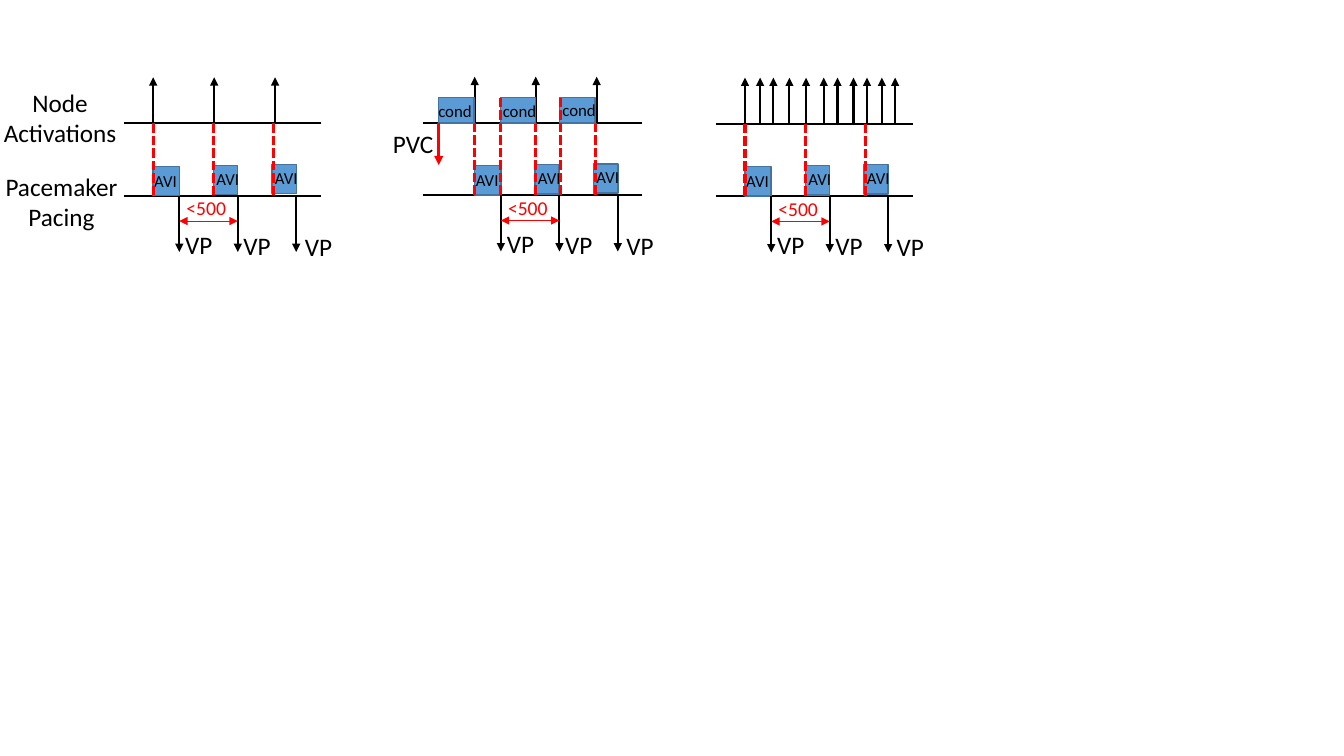
"""Draws three timing diagrams of node activations and pacemaker pacing."""
from lxml import etree
from pptx import Presentation
from pptx import util as u
from pptx.dml.color import RGBColor
from pptx.enum import dml, shapes, text
from pptx.oxml import ns

COLORS = {"ink": "000000", "alert": "FF0000", "block": "5B9BD5", "edge": "43739E"}


def color(name):
    return RGBColor.from_string(COLORS[name])


def write(frame, words, size=18, ink="ink", align=text.PP_ALIGN.LEFT):
    frame.word_wrap = False
    frame.auto_size = text.MSO_AUTO_SIZE.SHAPE_TO_FIT_TEXT
    for index, line in enumerate(words.split("\n")):
        para = frame.add_paragraph() if index else frame.paragraphs[0]
        para.alignment = align
        span = para.add_run()
        span.text = line
        span.font.name = "Calibri"
        span.font.size = u.Pt(size)
        span.font.color.rgb = color(ink)


class Sketch:
    def __init__(self, page):
        self.page = page
        self.layer = page.shapes

    def group(self):
        self.layer = self.page.shapes.add_group_shape().shapes

    def label(self, words, left, top, width, height, **style):
        box = self.layer.add_textbox(u.Pt(left), u.Pt(top), u.Pt(width), u.Pt(height))
        write(box.text_frame, words, **style)

    def block(self, left, top, width, height):
        box = self.layer.add_shape(shapes.MSO_SHAPE.RECTANGLE, u.Pt(left), u.Pt(top),
                                   u.Pt(width), u.Pt(height))
        box.shadow.inherit = False
        box.fill.solid()
        box.fill.fore_color.rgb = color("block")
        box.line.color.rgb = color("edge")
        box.line.width = u.Pt(1)

    def line(self, x1, y1, x2, y2, ink="ink", width=1.5, dashed=False, ends=()):
        connector = self.layer.add_connector(
            shapes.MSO_CONNECTOR.STRAIGHT, u.Pt(x1), u.Pt(y1), u.Pt(x2), u.Pt(y2))
        connector.line.color.rgb = color(ink)
        connector.line.width = u.Pt(width)
        if dashed:
            connector.line.dash_style = dml.MSO_LINE.SQUARE_DOT
        properties = connector.element.spPr
        outline = properties.find(ns.qn("a:ln"))
        for end in ends:
            etree.SubElement(outline, ns.qn(f"a:{end}"), type="triangle")
        etree.SubElement(properties, ns.qn("a:effectLst"))

    def arrow(self, x, start, stop, **style):
        self.line(x, start, x, stop, ends=["tailEnd"], **style)

    def dash(self, x, start, stop):
        self.line(x, start, x, stop, ink="alert", width=2.25, dashed=True)

    def timeline(self, x, shift, before, extra_beats=()):
        node, pacing = 88 + shift, 139.8 + shift
        self.group()
        for level in (node, pacing):
            self.line(x - before, level, x + 119.8, level)
        for beat in (0, 43.6, 87.1, *extra_beats):
            self.arrow(x + beat, node, node - 32.8)
        for index, (start, width) in enumerate([(0, 18.7), (43, 17.3), (85, 17.3)]):
            self.block(x + start, pacing - 21 - 0.7 * index, width, 21)
        for offset in (18.7, 60.5, 102.2):
            self.arrow(x + offset, pacing, pacing + 40.2)
        for left, top in [(-6.3, 118.4), (38.1, 116.7), (79.9, 116)]:
            self.label("AVI", x + left, top + shift, 31, 21.8, size=12)
        for offset in (0, 43.4, 86.1):
            self.dash(x + offset, node, pacing)
        for index, left in enumerate([15.8, 57.4, 101.2]):
            self.label("VP", x + left, 160.2 + shift + 0.6 * index, 34.6, 29.1)
        self.line(x + 18.7, 157.9 + shift, x + 60.5, 157.9 + shift, ink="alert",
                  width=0.5, ends=["headEnd", "tailEnd"])
        self.label("<500", x + 16.7, 136.7 + shift, 43.2, 24.2, size=14, ink="alert")

    def conduction(self, x):
        for left in (-25.7, 18.2, 60.7):
            self.block(x + left, 69.8, 25.2, 18)
        for left in (18.7, 61.2):
            self.dash(x + left, 69.8, 139.6)
        self.arrow(x - 25.7, 87.8, 118, ink="alert", width=2.25)
        for left, top in [(-33.1, 68.4), (13, 68.4), (55.5, 67.8)]:
            self.label("cond", x + left, top, 38.9, 21.8, size=12)


def main():
    deck = Presentation()
    deck.slide_width, deck.slide_height = u.Pt(960), u.Pt(540)
    sketch = Sketch(deck.slides.add_slide(deck.slide_layouts[6]))
    center = text.PP_ALIGN.CENTER
    sketch.label("Node\nActivations", -5, 59, 95.8, 50.9, align=center)
    sketch.label("Pacemaker\nPacing", -3.6, 118.8, 95, 50.9, align=center)
    sketch.label("PVC", 273.6, 87.8, 43.9, 29.1)
    sketch.timeline(109.4, 0, 20.6)
    sketch.timeline(339.1, -0.4, 37.2)
    sketch.conduction(339.1)
    sketch.timeline(532.2, 0.3, 20.6,
                    extra_beats=(10.8, 20.2, 31.7, 56.2, 66, 77.5, 97.7, 107.2))
    deck.save("out.pptx")


if __name__ == "__main__":
    main()
